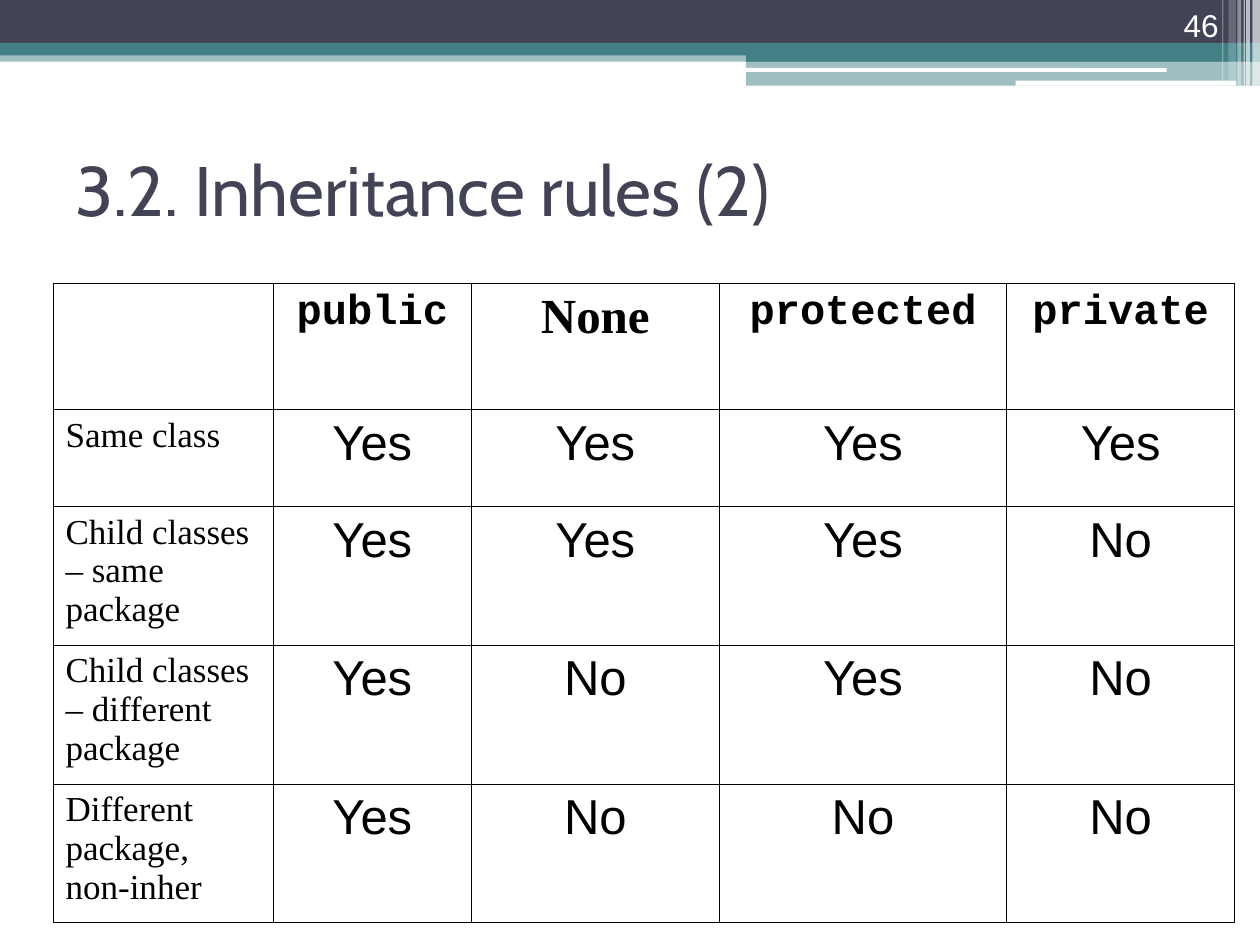
from lxml import etree
from pptx import Presentation
from pptx.dml.color import RGBColor
from pptx.enum.shapes import MSO_SHAPE as SHAPE
from pptx.enum.text import MSO_ANCHOR as ANCHOR, PP_ALIGN as ALIGN
from pptx.oxml import parse_xml
from pptx.oxml.ns import nsdecls, qn
from pptx.util import Inches

# Grid of 100 columns and 75 rows, each cell a tenth of an inch
CELL = Inches(0.1)
hex_color = RGBColor.from_string
NAVY, TEAL, WHITE, BLACK = "424456", "438086", "FFFFFF", "000000"


def grid(*cells):
    return [round(count * CELL) for count in cells]


def write(frame, text, align, color, **font_values):
    paragraph = frame.paragraphs[0]
    paragraph.alignment = align
    run = paragraph.add_run()
    run.text = text
    run.font.color.rgb = hex_color(color)
    for name, value in font_values.items():
        setattr(run.font, name, value * 12700 if name == "size" else value)


deck = Presentation()
deck.slide_width, deck.slide_height = grid(100, 75)
slide = deck.slides.add_slide(deck.slide_layouts[6])

# Header bands: shape, left, top, width, height, colour, opacity in percent
bands = [
    (SHAPE.RECTANGLE, 0, 4, 100, 0.9, TEAL, 50),
    (SHAPE.RECTANGLE, 0, 0, 100, 3.4, NAVY, 100),
    (SHAPE.RECTANGLE, 0, 3.4, 100, 1, TEAL, 100),
    (SHAPE.RECTANGLE, 59.2, 3.9, 40.8, 1, TEAL, 100),
    (SHAPE.RECTANGLE, 59.2, 4.8, 40.8, 2, TEAL, 50),
    (SHAPE.ROUNDED_RECTANGLE, 59.1, 5.4, 33.5, 0.3, WHITE, 100),
    (SHAPE.ROUNDED_RECTANGLE, 80.6, 6.4, 17.5, 0.4, WHITE, 100),
]
# Upright stripes in the right corner: left, width, height, opacity
stripes = [
    (99.4, 0.6, 6.8, 65), (98.9, 0.3, 6.8, 65), (98.7, 0.1, 6.8, 60),
    (98.2, 0.3, 6.8, 40), (97.5, 0.6, 6.4, 20), (97, 0.1, 6.4, 30),
]
bands += [(SHAPE.RECTANGLE, left, 0, width, height, WHITE, opacity)
          for left, width, height, opacity in stripes]

for kind, left, top, width, height, color, opacity in bands:
    band = slide.shapes.add_shape(kind, *grid(left, top, width, height))
    band.shadow.inherit = False
    band.line.fill.background()
    band.fill.solid()
    band.fill.fore_color.rgb = hex_color(color)
    if opacity < 100:
        tint = band.fill._xPr.find(qn("a:solidFill"))[0]
        etree.SubElement(tint, qn("a:alpha"), val=str(opacity * 1000))

# Page number and title
headings = [
    ((89.4, 0, 8.3, 4), "46", ANCHOR.BOTTOM, ALIGN.RIGHT, WHITE,
     {"size": 18, "name": "Arial"}),
    ((5, 9.1, 90, 11.7), "3.2. Inheritance rules (2)", ANCHOR.MIDDLE, ALIGN.LEFT, NAVY,
     {"size": 40, "name": "Cabin"}),
]
for area, text, anchor, align, color, font_values in headings:
    frame = slide.shapes.add_textbox(*grid(*area)).text_frame
    frame.word_wrap = True
    frame.vertical_anchor = anchor
    write(frame, text, align, color, **font_values)

# Access table
rows = [
    ["", "public", "None", "protected", "private"],
    ["Same class", "Yes", "Yes", "Yes", "Yes"],
    ["Child classes – same package", "Yes", "Yes", "Yes", "No"],
    ["Child classes – different package", "Yes", "No", "Yes", "No"],
    ["Different package, non-inher", "Yes", "No", "No", "No"],
]
column_widths = grid(17.5, 15.7, 19.7, 22.8, 18.1)
row_heights = grid(10, 7.7, 11, 11, 11)
keyword_font = {"size": 24, "name": "Courier New", "bold": True}
none_font = {"size": 28, "name": "Times New Roman", "bold": True}
case_font = {"size": 20, "name": "Times New Roman", "bold": False}
answer_font = {"size": 28, "name": "Arial", "bold": False}

access = slide.shapes.add_table(len(rows), len(column_widths), *grid(4.2, 22.5),
                                sum(column_widths), sum(row_heights)).table
access.first_row = access.horz_banding = False
for column, width in zip(access.columns, column_widths):
    column.width = width
for row, height in zip(access.rows, row_heights):
    row.height = height

for r, texts in enumerate(rows):
    for c, text in enumerate(texts):
        cell = access.cell(r, c)
        for side in ("lnL", "lnR", "lnT", "lnB"):
            cell._tc.get_or_add_tcPr().append(parse_xml(
                f'<a:{side} {nsdecls("a")} w="5715"><a:solidFill>'
                f'<a:srgbClr val="{BLACK}"/></a:solidFill></a:{side}>'))
        cell.fill.background()
        if not text:
            continue
        if r == 0:
            font_values = none_font if text == "None" else keyword_font
        else:
            font_values = case_font if c == 0 else answer_font
        write(cell.text_frame, text, ALIGN.CENTER if c else ALIGN.LEFT, BLACK, **font_values)

deck.save("out.pptx")
